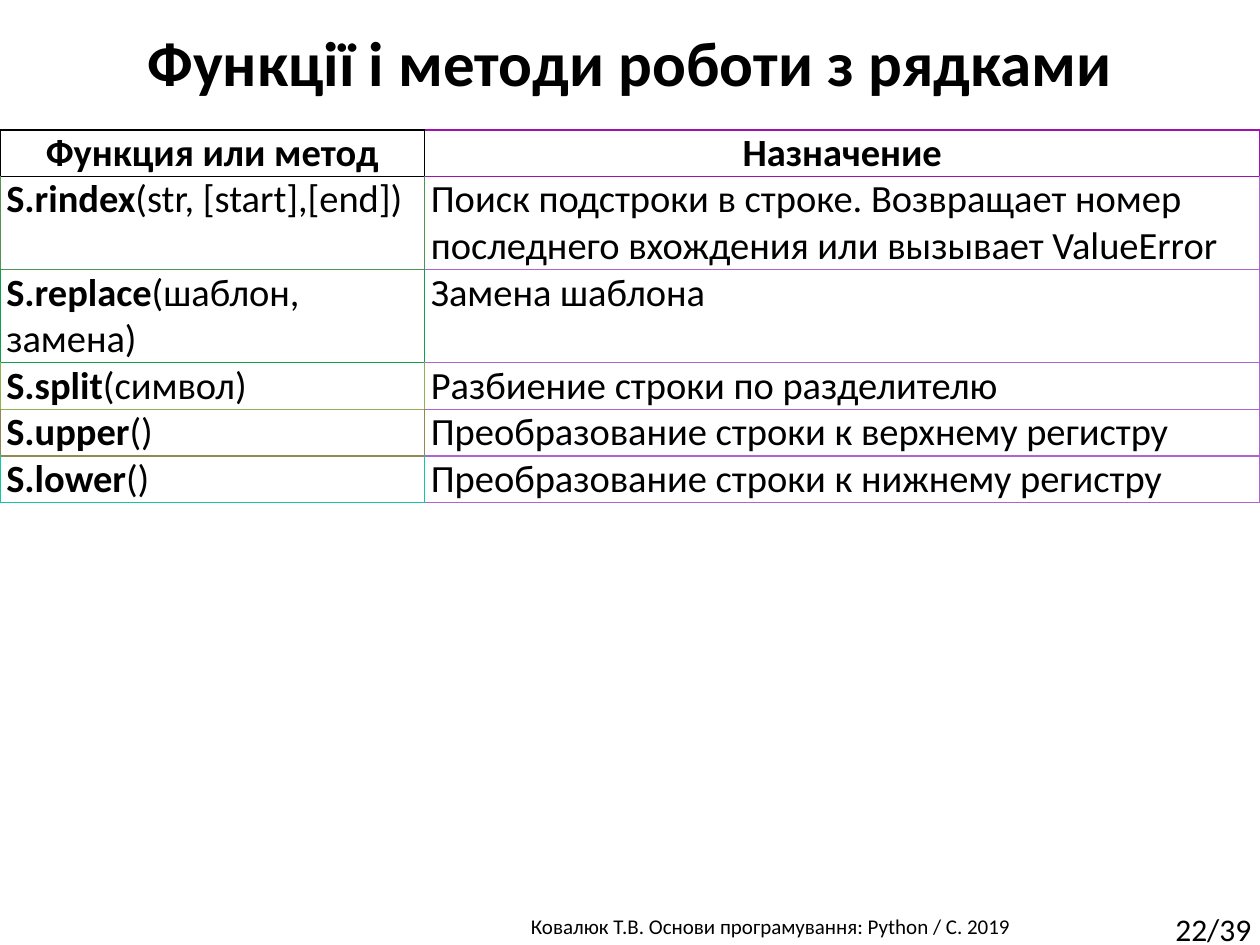
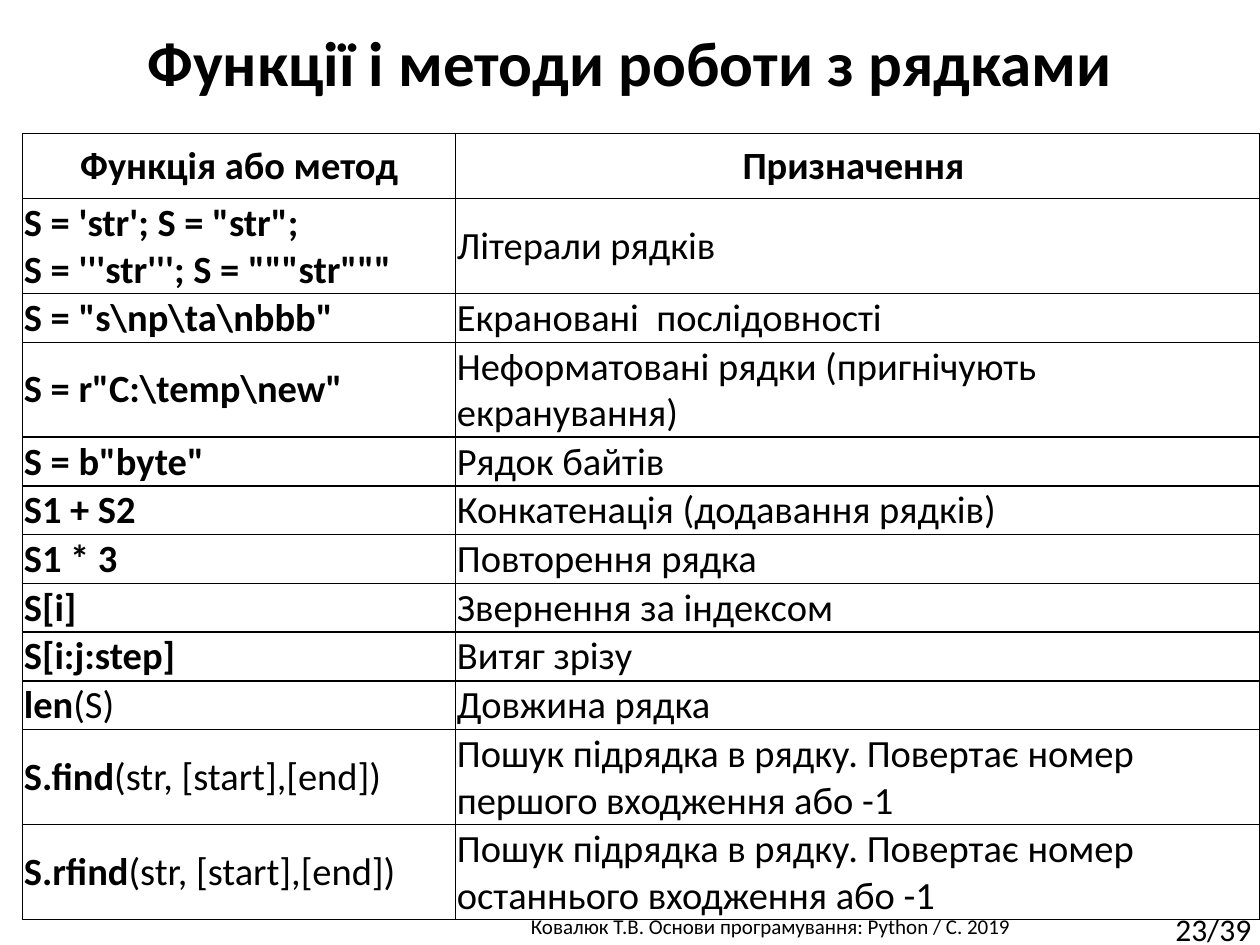
from lxml.etree import SubElement as Sub
from pptx import Presentation
from pptx.dml.color import RGBColor as Rgb
from pptx.enum.text import MSO_ANCHOR as Anchor, MSO_AUTO_SIZE as Auto, PP_ALIGN as Align
from pptx.oxml.ns import qn
from pptx.util import Inches, Pt

WIDE, HIGH = Inches(10), Inches(7.5)
FONT = "Calibri"
HUES = {
    "ink": "000000", "paper": "FFFFFF", "plum": "A012AF", "lilac": "B064D0",
    "moss": "509551", "green": "109F51", "lime": "90B151", "olive": "908951", "teal": "10C8A2",
}
TITLE = "Функції і методи роботи з рядками"
CREDIT = "Ковалюк Т.В. Основи програмування: Python / C. 2019 "
TOTAL = 39
LINE = 4.93
ARGS = "(str, [start],[end])"

EDIT = [
    ("Функция или метод", "", "Назначение", 1),
    ("S.rindex", ARGS, "Поиск подстроки в строке. Возвращает номер последнего вхождения "
     "или вызывает ValueError", 2),
    ("S.replace", "(шаблон, замена)", "Замена шаблона", 2),
    ("S.split", "(символ)", "Разбиение строки по разделителю", 1),
    ("S.upper", "()", "Преобразование строки к верхнему регистру", 1),
    ("S.lower", "()", "Преобразование строки к нижнему регистру", 1),
]
EDIT_HUES = [("ink", "plum")] + [
    (hue, "lilac") for hue in ("moss", "green", "lime", "olive", "teal")]
BASE = [
    ("Функція або метод", "", "Призначення ", 1.4),
    ("S = 'str'; S = \"str\";\nS = '''str'''; S = \"\"\"str\"\"\"", "", "Літерали рядків", 2),
    (r'S = "s\np\ta\nbbb"', "", "Екрановані  послідовності", 1),
    (r'S = r"C:\temp\new"', "", "Неформатовані рядки (пригнічують екранування)", 2),
    ('S = b"byte"', "", "Рядок байтів", 1),
    ("S1 + S2", "", "Конкатенація (додавання рядків)", 1),
    ("S1 * 3", "", "Повторення рядка", 1),
    ("S[i]", "", "Звернення за індексом", 1),
    ("S[i:j:step]", "", "Витяг зрізу", 1),
    ("len", "(S)", "Довжина рядка", 1),
    ("S.find", ARGS, "Пошук підрядка в рядку. Повертає номер першого входження або -1", 2),
    ("S.rfind", ARGS, "Пошук підрядка в рядку. Повертає номер останнього входження або -1", 2),
]
BASE_HUES = [("ink", "ink")] * len(BASE)


def across(share):
    """Turn a percentage of the slide width into a length."""
    return round(WIDE * share / 100)


def down(share):
    """Turn a percentage of the slide height into a length."""
    return round(HIGH * share / 100)


def box(left, top, width, height):
    """Turn four percentages into a place on the slide."""
    return across(left), down(top), across(width), down(height)


def write(para, text, size, bold=False):
    """Add one styled run to a paragraph."""
    run = para.add_run()
    run.text = text
    run.font.name, run.font.size, run.font.bold = FONT, Pt(size), bold
    run.font.color.rgb = Rgb.from_string(HUES["ink"])


def label(slide, place, text, size, align=Align.LEFT, wrap=True):
    """Add a text box with one line."""
    frame = slide.shapes.add_textbox(*box(*place)).text_frame
    frame.word_wrap = wrap
    para = frame.paragraphs[0]
    para.alignment = align
    write(para, text, size)


def begin(deck, page):
    """Add a slide with its title, credit and page number."""
    slide = deck.slides.add_slide(deck.slide_layouts[5])
    title = slide.shapes.title
    title.left, title.top, title.width, title.height = box(0, 1.73, 100, 9.47)
    title.text_frame.auto_size = Auto.NONE
    para = title.text_frame.paragraphs[0]
    para.alignment = Align.CENTER
    write(para, TITLE, 36, True)
    label(slide, (32.9, 96, 56.9, 4), CREDIT, 12, Align.CENTER)
    label(slide, (92.3, 95.6, 8.5, 5.33), f"{page}/{TOTAL}", 18, wrap=False)
    return slide


def edge(cell, left, right, top, bottom):
    """Draw the four borders of a cell."""
    props = cell._tc.get_or_add_tcPr()
    for side, hue in zip("LRTB", (left, right, top, bottom)):
        line = Sub(props, qn(f"a:ln{side}"), w=str(Pt(1)))
        Sub(Sub(line, qn("a:solidFill")), qn("a:srgbClr"), val=HUES[hue])


def fill(cell, lead, tail, head, inset, anchor):
    """Give a cell its fill, margins and text, with a bold lead."""
    cell.fill.solid()
    cell.fill.fore_color.rgb = Rgb.from_string(HUES["paper"])
    cell.margin_left = cell.margin_right = Inches(inset[0])
    cell.margin_top = cell.margin_bottom = Inches(inset[1])
    cell.vertical_anchor = anchor
    frame = cell.text_frame
    for spot, text in enumerate(lead.split("\n")):
        para = frame.add_paragraph() if spot else frame.paragraphs[0]
        para.alignment = Align.CENTER if head else Align.LEFT
        if text:
            write(para, text, 22, True)
    if tail:
        write(para, tail, 22)


def grid(slide, place, split, rows, hues, inset, anchor):
    """Add a two-column table of methods and their purposes."""
    left, top, width = place
    high = LINE * sum(row[3] for row in rows)
    table = slide.shapes.add_table(len(rows), 2, *box(left, top, width, high)).table
    table.first_row = table.horz_banding = False
    for col, share in zip(table.columns, (split, 100 - split)):
        col.width = across(width * share / 100)
    above = hues[0]
    for spot, ((lead, tail, note, lines), tint) in enumerate(zip(rows, hues)):
        table.rows[spot].height = down(LINE * lines)
        name, use = table.cell(spot, 0), table.cell(spot, 1)
        edge(name, tint[0], tint[0], above[0], tint[0])
        edge(use, tint[0], tint[1], above[1], tint[1])
        head = spot == 0
        fill(name, lead, tail, head, inset, anchor)
        fill(use, note if head else "", "" if head else note, head, inset, anchor)
        above = tint


def main():
    """Build and save both slides."""
    deck = Presentation()
    deck.slide_width, deck.slide_height = WIDE, HIGH
    grid(begin(deck, 22), (0, 13.73, 100), 33.7, EDIT, EDIT_HUES, (0.05, 0), Anchor.TOP)
    grid(begin(deck, 23), (1.8, 14.13, 98.2), 35, BASE, BASE_HUES, (0.01, 0.01), Anchor.MIDDLE)
    deck.save("out.pptx")


if __name__ == "__main__":
    main()
